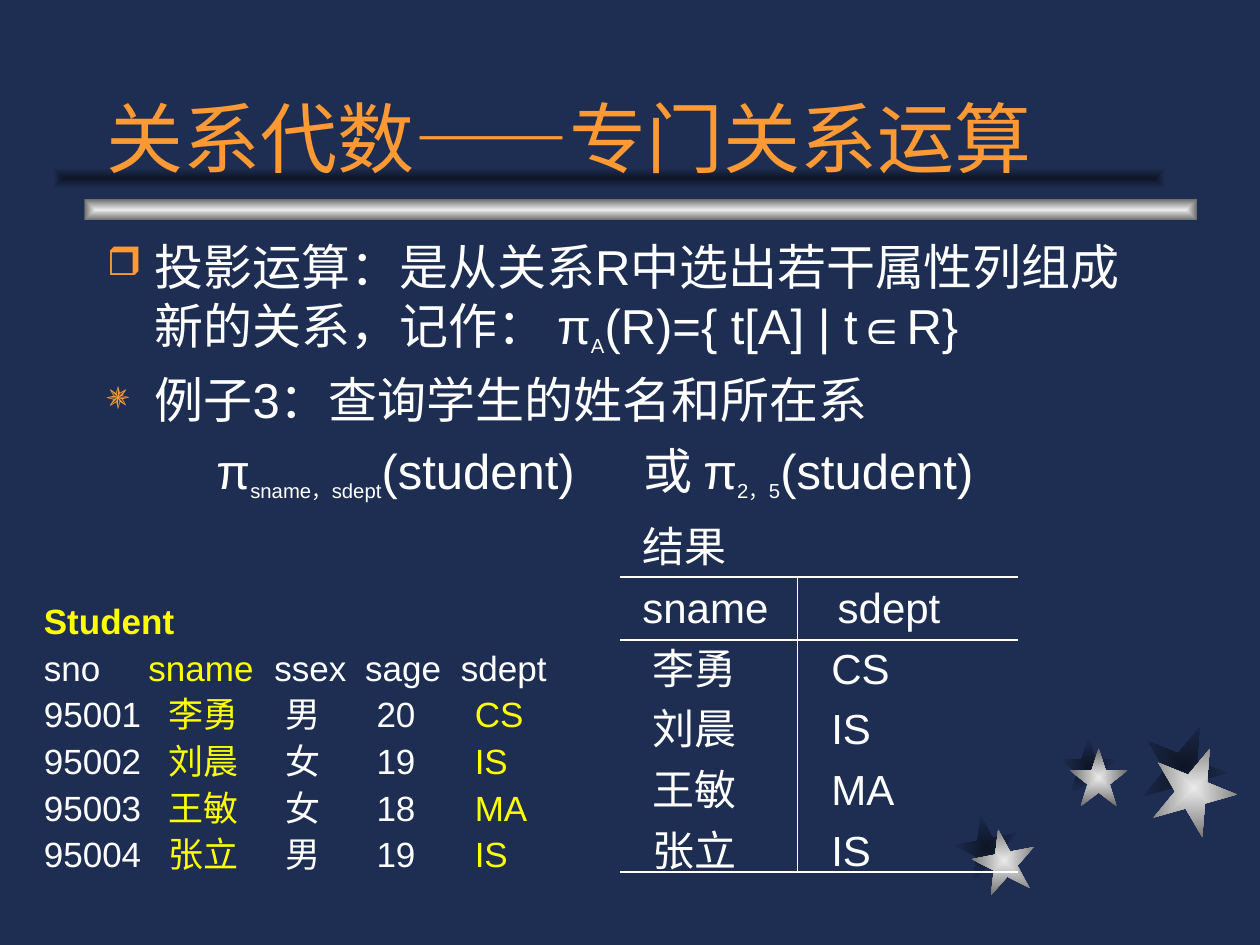
from dataclasses import dataclass

from lxml.etree import SubElement
from pptx import Presentation
from pptx.dml.color import RGBColor
from pptx.enum.lang import MSO_LANGUAGE_ID as Lang
from pptx.enum.shapes import MSO_CONNECTOR as Connector, MSO_SHAPE as Preset
from pptx.enum.text import MSO_ANCHOR as Anchor
from pptx.oxml.ns import qn
from pptx.util import Inches, Pt

COLORS = {
    "background": "1E2E53", "shade": "0E1526", "silver": "EAEAEA",
    "steel": "6C6C6C", "orange": "FF9933", "white": "FFFFFF", "yellow": "FFFF00",
}
SHADOW = ("shade", "background")
METAL = ("silver", "steel")
STAR_OUTLINE = [
    (0, 0.38), (0.38, 0.38), (0.5, 0), (0.62, 0.38), (1, 0.38),
    (0.69, 0.62), (0.81, 1), (0.5, 0.76), (0.19, 1), (0.31, 0.62),
]


@dataclass(frozen=True)
class Star:
    left: float
    top: float
    size: float
    rotation: int
    gradient: tuple


@dataclass(frozen=True)
class Span:
    text: str
    color: str = "white"
    size: int = 28
    font: str = "Arial"
    bold: bool = False
    subscript: bool = False


@dataclass(frozen=True)
class Line:
    spans: list
    tabs: tuple = ()
    bullet: str = ""


STARS = [
    Star(7.58, 6.47, 0.5, 349, SHADOW),
    Star(8.41, 5.85, 0.46, 0, SHADOW),
    Star(9.06, 5.75, 0.67, 22, SHADOW),
    Star(7.72, 6.58, 0.5, 349, METAL),
    Star(8.49, 5.94, 0.46, 0, METAL),
    Star(9.14, 5.92, 0.67, 22, METAL),
]
BARS = [(0.67, 1.58, METAL), (0.42, 1.33, SHADOW)]
RULES = [
    (4.92, 4.58, 8.08, 4.58), (4.92, 5.08, 8.08, 5.08),
    (4.92, 6.92, 8.08, 6.92), (6.33, 4.58, 6.33, 6.92),
]
STUDENTS = [
    ("95001", "李勇", "男", 20, "CS"),
    ("95002", "刘晨", "女", 19, "IS"),
    ("95003", "王敏", "女", 18, "MA"),
    ("95004", "张立", "男", 19, "IS"),
]


def rgb(name: str) -> RGBColor:
    """Look up a palette colour."""
    return RGBColor.from_string(COLORS[name])


def paint(shape, gradient: tuple) -> None:
    """Fill a shape with a gradient that runs from its centre to its edges."""
    shape.shadow.inherit = False
    shape.line.fill.background()
    shape.fill.gradient()
    for stop, name, position in zip(shape.fill.gradient_stops, gradient, (0, 1)):
        stop.color.rgb = rgb(name)
        stop.position = position
    grad = shape.element.spPr.find(qn("a:gradFill"))
    grad.remove(grad.find(qn("a:lin")))
    center = SubElement(grad, qn("a:path"), path="rect")
    SubElement(center, qn("a:fillToRect"), dict.fromkeys("ltrb", "50000"))


def draw_star(slide, star: Star) -> None:
    """Draw a rotated five-pointed star."""
    points = [
        (Inches(star.left + x * star.size), Inches(star.top + y * star.size))
        for x, y in STAR_OUTLINE
    ]
    builder = slide.shapes.build_freeform(*points[0])
    builder.add_line_segments(points[1:], close=True)
    shape = builder.convert_to_shape()
    shape.rotation = star.rotation
    paint(shape, star.gradient)


def draw_bar(slide, left: float, top: float, gradient: tuple) -> None:
    """Draw one of the bars under the title."""
    bar = slide.shapes.add_shape(
        Preset.RECTANGLE, Inches(left), Inches(top), Inches(8.83), Inches(0.17))
    paint(bar, gradient)


def draw_rule(slide, *ends: float) -> None:
    """Draw a thin white line of the result grid."""
    rule = slide.shapes.add_connector(Connector.STRAIGHT, *map(Inches, ends))
    rule.line.color.rgb = rgb("white")
    rule.line.width = Pt(1)
    SubElement(rule.element.spPr, qn("a:effectLst"))


def add_bullet(properties, char: str) -> None:
    """Give a paragraph an orange bullet with a hanging indent."""
    properties.set("marL", str(Inches(0.38)))
    properties.set("indent", str(Inches(-0.38)))
    color = SubElement(properties, qn("a:buClr"))
    SubElement(color, qn("a:srgbClr"), val=COLORS["orange"])
    SubElement(properties, qn("a:buSzPct"), val="80000")
    SubElement(properties, qn("a:buChar"), char=char)


def add_tabs(properties, tabs: tuple) -> None:
    """Set the left tab stops of a paragraph."""
    stops = SubElement(properties, qn("a:tabLst"))
    for position in tabs:
        SubElement(stops, qn("a:tab"), pos=str(Inches(position)), algn="l")


def write_span(paragraph, span: Span) -> None:
    """Add a formatted run to a paragraph."""
    run = paragraph.add_run()
    run.text = span.text
    formats = {
        "name": span.font, "size": Pt(span.size), "bold": span.bold,
        "language_id": Lang.SIMPLIFIED_CHINESE,
    }
    for attribute, value in formats.items():
        setattr(run.font, attribute, value)
    run.font.color.rgb = rgb(span.color)
    if span.subscript:
        run.font._element.set("baseline", "-25000")


def write_block(slide, box: tuple, lines: list, before: float = 0,
                spacing: float = 1.0, anchor=Anchor.TOP) -> None:
    """Write lines of text into a wrapped text box."""
    frame = slide.shapes.add_textbox(*map(Inches, box)).text_frame
    frame.word_wrap = True
    frame.vertical_anchor = anchor
    for index, line in enumerate(lines):
        paragraph = frame.add_paragraph() if index else frame.paragraphs[0]
        paragraph.space_before = Pt(before)
        paragraph.line_spacing = spacing
        properties = paragraph._p.get_or_add_pPr()
        if line.bullet:
            add_bullet(properties, line.bullet)
        if line.tabs:
            add_tabs(properties, line.tabs)
        for span in line.spans:
            write_span(paragraph, span)


def subscript(text: str) -> Span:
    """Make a small lowered span."""
    return Span(text, size=20, subscript=True)


def student_lines() -> list:
    """Lay out the student relation with the projected columns in yellow."""
    header = [Span("sno\t", size=20), Span("sname", "yellow", 20),
              Span("\tssex\tsage\tsdept", size=20)]
    lines = [Line([Span("Student", "yellow", 20, bold=True)]),
             Line(header, (0.83, 1.83, 2.55, 3.31))]
    for number, name, sex, age, dept in STUDENTS:
        spans = [Span(f"{number}\t", size=20), Span(name, "yellow", 20),
                 Span(f"\t{sex}\t{age}\t", size=20), Span(dept, "yellow", 20)]
        lines.append(Line(spans, (0.99, 1.92, 2.64, 3.42)))
    return lines


def result_lines() -> list:
    """Lay out the projected relation."""
    lines = [Line([Span("结果", size=24)]),
             Line([Span("sname\tsdept", size=24)], (1.55,))]
    for _, name, _, _, dept in STUDENTS:
        lines.append(Line([Span(f"\t{name}\t{dept}", size=24)], (0.08, 1.5)))
    return lines


def main() -> None:
    """Build the slide on projection in relational algebra."""
    deck = Presentation()
    deck.slide_width, deck.slide_height = Inches(10), Inches(7.5)
    slide = deck.slides.add_slide(deck.slide_layouts[6])
    slide.background.fill.solid()
    slide.background.fill.fore_color.rgb = rgb("background")
    for star in STARS:
        draw_star(slide, star)
    for bar in BARS:
        draw_bar(slide, *bar)
    title = [Span("关系代数——", "orange", 44, "Times New Roman"),
             Span("专门关系运算", "orange", 44)]
    definition = [Span("投影运算：是从关系R中选出若干属性列组成新的关系，记作： π"),
                  subscript("A"), Span("(R)={ t[A] | t∈R}")]
    formula = [Span("\tπ"), subscript("sname，sdept"), Span("(student)\t或 π"),
               subscript("2，5"), Span("(student)")]
    body = [Line(definition, bullet="❒"),
            Line([Span("例子3：查询学生的姓名和所在系")], bullet="✵"),
            Line(formula, (0.87, 4.26))]
    write_block(slide, (0.75, 0.25, 8.5, 1.25), [Line(title)], anchor=Anchor.BOTTOM)
    write_block(slide, (0.75, 1.83, 8.5, 2.33), body, 7)
    write_block(slide, (5, 4.08, 3.67, 3.17), result_lines(), 6)
    for rule in RULES:
        draw_rule(slide, *rule)
    write_block(slide, (0.25, 4.75, 5.33, 2.33), student_lines(), 5, 0.9)
    deck.save("out.pptx")


if __name__ == "__main__":
    main()
